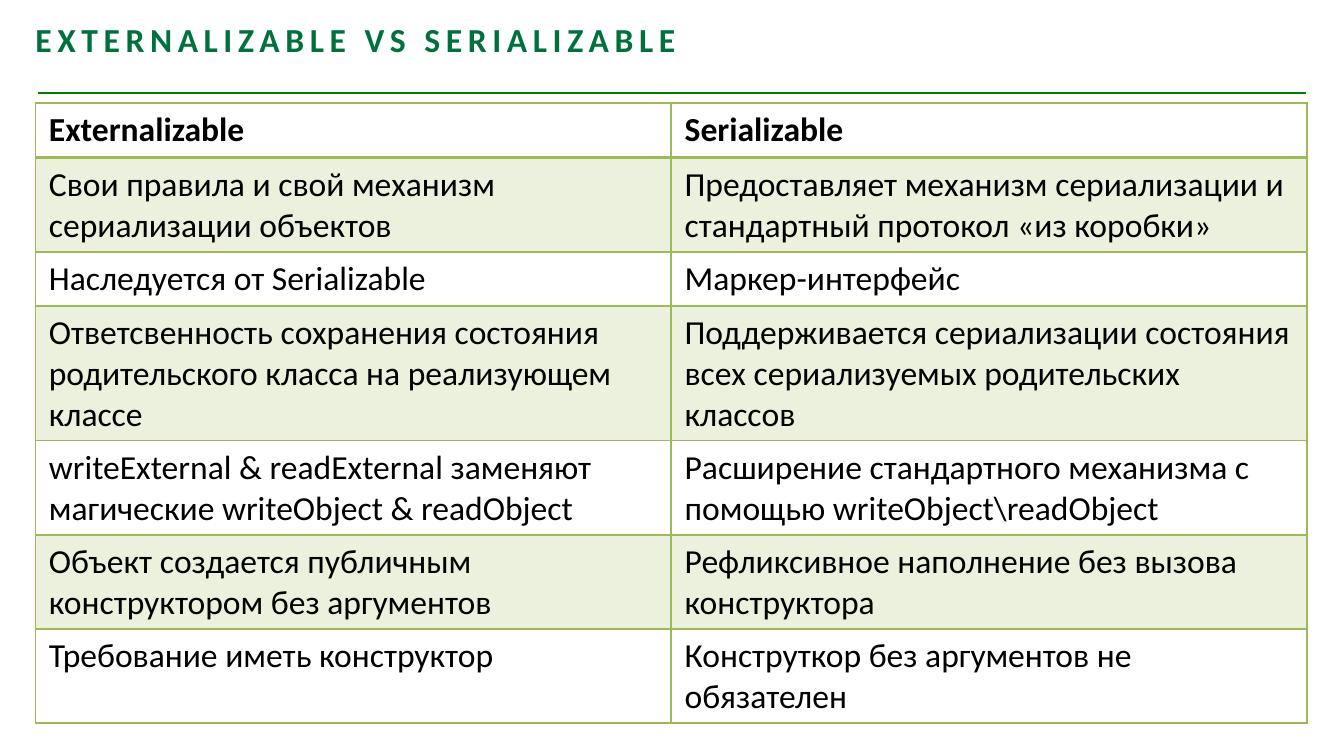
from lxml.etree import SubElement
from pptx import Presentation
from pptx.dml.color import RGBColor
from pptx.enum.shapes import MSO_CONNECTOR
from pptx.oxml import parse_xml
from pptx.oxml.ns import nsdecls, qn
from pptx.util import Cm, Pt

TITLE_GREEN = RGBColor(0x00, 0x70, 0x3C)
RULE_GREEN = RGBColor(0x00, 0x80, 0x00)
TABLE_GREEN = RGBColor(0x9B, 0xBB, 0x59)
BLACK = RGBColor(0x00, 0x00, 0x00)
FONT = "Calibri"

TITLE = "EXTERNALIZABLE VS SERIALIZABLE"
ROWS = [
    ("Externalizable", "Serializable"),
    ("Свои правила и свой механизм сериализации объектов",
     "Предоставляет механизм сериализации и стандартный протокол «из коробки»"),
    ("Наследуется от Serializable", "Маркер-интерфейс"),
    ("Ответсвенность сохранения состояния родительского класса на реализующем классе",
     "Поддерживается сериализации состояния всех сериализуемых родительских классов"),
    ("writeExternal & readExternal заменяют магические writeObject & readObject",
     "Расширение стандартного механизма с помощью writeObject\\readObject"),
    ("Объект создается публичным конструктором без аргументов",
     "Рефликсивное наполнение без вызова конструктора"),
    ("Требование иметь конструктор", "Конструткор без аргументов не обязателен"),
]


def add_run(paragraph, text, color, bold):
    run = paragraph.add_run()
    run.text = text
    run.font.name = FONT
    run.font.size = Pt(18)
    run.font.bold = bold
    run.font.color.rgb = color
    return run


def add_title(slide, left, top, width, height):
    frame = slide.shapes.add_textbox(left, top, width, height).text_frame
    frame.word_wrap = True
    frame.margin_left = frame.margin_bottom = 0
    frame.margin_top, frame.margin_right = Cm(0.13), Cm(0.25)
    paragraph = frame.paragraphs[0]
    paragraph.space_before = Pt(3.6)
    run = add_run(paragraph, TITLE, TITLE_GREEN, True)
    run.font._element.set("spc", "300")


def add_rule(slide, left, top, width):
    rule = slide.shapes.add_connector(
        MSO_CONNECTOR.STRAIGHT, left, top, left + width, top)
    rule.line.color.rgb = RULE_GREEN
    rule.line.width = Pt(0.75)
    SubElement(rule._element.spPr, qn("a:effectLst"))


def fill_cell(cell, shaded):
    """Tint a shaded cell with the table green at 20 % opacity."""
    if not shaded:
        cell.fill.background()
        return
    cell.fill.solid()
    cell.fill.fore_color.rgb = TABLE_GREEN
    color = cell._tc.tcPr.find(".//" + qn("a:srgbClr"))
    SubElement(color, qn("a:alpha"), val="20000")


def border_cell(cell, top_width, bottom_width):
    """Draw the four borders, which must stand before the fill in the XML."""
    widths = {"lnL": 1, "lnR": 1, "lnT": top_width, "lnB": bottom_width}
    for position, (side, width) in enumerate(widths.items()):
        border = parse_xml(
            f'<a:{side} {nsdecls("a")} w="{Pt(width)}"><a:solidFill>'
            f'<a:srgbClr val="{TABLE_GREEN}"/></a:solidFill></a:{side}>')
        cell._tc.tcPr.insert(position, border)


def add_comparison_table(slide, left, top, width, row_height):
    table = slide.shapes.add_table(
        len(ROWS), len(ROWS[0]), left, top, width, row_height * len(ROWS)).table
    for row_index, texts in enumerate(ROWS):
        table.rows[row_index].height = row_height
        for column_index, text in enumerate(texts):
            cell = table.cell(row_index, column_index)
            add_run(cell.text_frame.paragraphs[0], text, BLACK, row_index == 0)
            fill_cell(cell, row_index % 2 == 1)
            border_cell(cell, 2 if row_index == 1 else 1,
                        2 if row_index == 0 else 1)


def main():
    presentation = Presentation()
    presentation.slide_width, presentation.slide_height = Cm(25.4), Cm(14.29)
    slide = presentation.slides.add_slide(presentation.slide_layouts[6])
    add_rule(slide, Cm(0.71), Cm(1.76), Cm(23.98))
    add_title(slide, Cm(0.67), Cm(0.23), Cm(18.21), Cm(0.9))
    add_comparison_table(slide, Cm(0.67), Cm(1.95), Cm(24.03), Cm(1.03))
    presentation.save("out.pptx")


if __name__ == "__main__":
    main()
